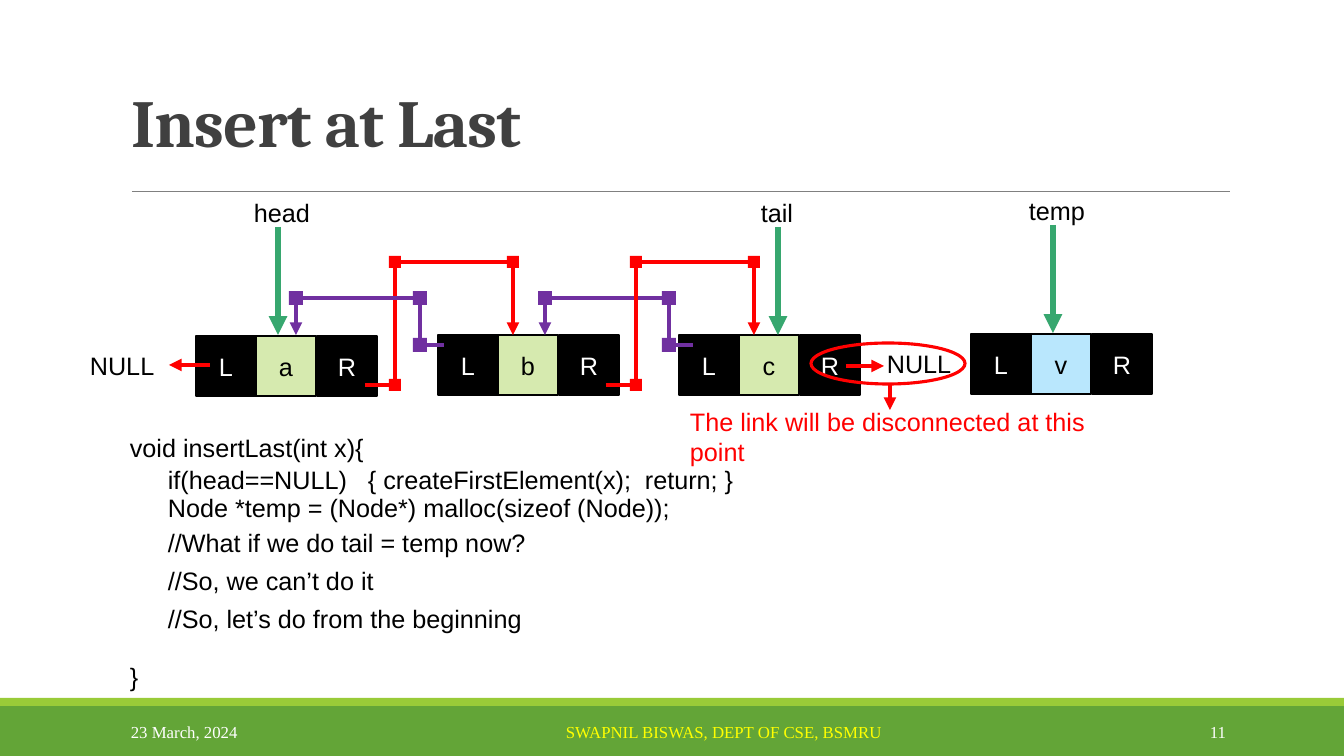
import pptx
import pptx.dml.color
import pptx.enum.shapes
import pptx.enum.text
import pptx.oxml.ns
import pptx.util
import lxml.etree

RGBColor = pptx.dml.color.RGBColor
Shape = pptx.enum.shapes.MSO_SHAPE
Align = pptx.enum.text.PP_ALIGN
Anchor = pptx.enum.text.MSO_ANCHOR

BLACK = RGBColor(0x00, 0x00, 0x00)
WHITE = RGBColor(0xFF, 0xFF, 0xFF)
RED = RGBColor(0xFF, 0x00, 0x00)
PURPLE = RGBColor(0x70, 0x30, 0xA0)
GREEN = RGBColor(0x37, 0xA7, 0x6F)
PALE_GREEN = RGBColor(0xD6, 0xEA, 0xAF)
PALE_BLUE = RGBColor(0xB9, 0xE7, 0xFD)
BAR = RGBColor(0x63, 0xA5, 0x37)
BAR_EDGE = RGBColor(0x99, 0xCB, 0x38)
YELLOW = RGBColor(0xFF, 0xFF, 0x00)
GRAY = RGBColor(0x80, 0x80, 0x80)
DARK = RGBColor(0x40, 0x40, 0x40)


def px(n):
    return pptx.util.Emu(round(n * 914400 / 100.8))


class Builder:
    body_font = "Arial"
    title_font = "Cambria"
    footer_font = "Times New Roman"

    def __init__(self, prs):
        self.slide = prs.slides.add_slide(prs.slide_layouts[5])
        self.shapes = self.slide.shapes

    def style(self, p, size, color, font, align=Align.LEFT):
        p.alignment = align
        p.font.size = pptx.util.Pt(size)
        p.font.name = font
        p.font.color.rgb = color

    def title(self, text, x, y, w, h):
        sp = self.shapes.title
        sp.left, sp.top, sp.width, sp.height = px(x), px(y), px(w), px(h)
        tf = sp.text_frame
        tf.word_wrap = True
        tf.vertical_anchor = Anchor.BOTTOM
        p = tf.paragraphs[0]
        r = p.add_run()
        r.text = text
        r.font._element.set("spc", "-50")
        self.style(p, 48, DARK, self.title_font)
        p.font.bold = True
        p.line_spacing = 0.85

    def text(self, text, x, y, w, color=BLACK, size=18, font=body_font,
             align=Align.LEFT, anchor=Anchor.TOP):
        sp = self.shapes.add_textbox(px(x), px(y), px(w), px(40))
        tf = sp.text_frame
        tf.word_wrap = True
        tf.vertical_anchor = anchor
        p = tf.paragraphs[0]
        p.text = text
        self.style(p, size, color, font, align)

    def footer(self, text, x, w, color=WHITE, align=Align.LEFT):
        self.text(text, x, 712, w, color, 12, self.footer_font, align, Anchor.MIDDLE)

    def shape(self, kind, x, y, w, h, fill=None, line=None, width=1.25):
        sp = self.shapes.add_shape(kind, px(x), px(y), px(w), px(h))
        sp.shadow.inherit = False
        if fill is None:
            sp.fill.background()
        else:
            sp.fill.solid()
            sp.fill.fore_color.rgb = fill
        if line is None:
            sp.line.fill.background()
        else:
            sp.line.color.rgb = line
            sp.line.width = pptx.util.Pt(width)
        return sp

    def line(self, start, end, color, width=3, arrow=False):
        cn = self.shapes.add_connector(
            pptx.enum.shapes.MSO_CONNECTOR.STRAIGHT,
            px(start[0]), px(start[1]), px(end[0]), px(end[1]))
        cn.line.color.rgb = color
        cn.line.width = pptx.util.Pt(width)
        qn = pptx.oxml.ns.qn
        if arrow:
            ln = cn.line._get_or_add_ln()
            lxml.etree.SubElement(ln, qn("a:tailEnd"), type="triangle")
        lxml.etree.SubElement(cn._element.spPr, qn("a:effectLst"))

    def node(self, value, x, y, fill):
        cells = (("L", BLACK, WHITE), (value, fill, BLACK), ("R", BLACK, WHITE))
        for i, (label, back, color) in enumerate(cells):
            sp = self.shape(Shape.RECTANGLE, x + 121 * i // 2, y, 60, 60, back, BLACK)
            tf = sp.text_frame
            tf.vertical_anchor = Anchor.MIDDLE
            p = tf.paragraphs[0]
            p.text = label
            self.style(p, 18, color, self.body_font, Align.CENTER)

    def link(self, points, color, size):
        for i, (start, end) in enumerate(zip(points, points[1:])):
            self.line(start, end, color, arrow=i == len(points) - 2)
        for x, y in points[1:-1]:
            self.shape(Shape.RECTANGLE, x - size // 2, y - size // 2, size, size, color)

    def next_link(self, x):
        self.link([(x, 385), (x + 30, 385), (x + 30, 262), (x + 148, 262),
                   (x + 148, 335)], RED, 12)

    def prev_link(self, x):
        self.link([(x, 345), (x - 24, 345), (x - 24, 298), (x - 148, 298),
                   (x - 148, 335)], PURPLE, 14)

    def pointer(self, name, text_x, x, y):
        self.line((x, y + 35), (x, y + 143), GREEN, 4.5, arrow=True)
        self.text(name, text_x, y, 81)


def main():
    prs = pptx.Presentation()
    prs.slide_width, prs.slide_height = px(1344), px(756)
    s = Builder(prs)

    s.shape(Shape.RECTANGLE, 0, 706, 1344, 50, BAR)
    s.shape(Shape.RECTANGLE, 0, 698, 1344, 8, BAR_EDGE)
    s.line((132, 191), (1230, 191), GRAY, 0.5)
    s.title("Insert at Last", 121, 6, 1109, 160)

    for value, x, y, fill in (("a", 196, 336, PALE_GREEN), ("b", 438, 335, PALE_GREEN),
                              ("c", 679, 335, PALE_GREEN), ("v", 971, 334, PALE_BLUE)):
        s.node(value, x, y, fill)

    for name, text_x, x, y in (("head", 244, 278, 192), ("tail", 751, 778, 192),
                               ("temp", 1019, 1053, 190)):
        s.pointer(name, text_x, x, y)

    s.text("NULL", 80, 345, 95)
    s.line((210, 365), (169, 365), RED, arrow=True)
    s.text("NULL", 877, 343, 95)
    s.line((846, 366), (884, 366), RED, arrow=True)

    s.next_link(365)
    s.prev_link(444)
    s.prev_link(693)
    s.next_link(606)

    s.text("The link will be disconnected at this point", 680, 401, 473, RED)
    s.shape(Shape.OVAL, 811, 343, 154, 41, line=RED, width=2.25)
    s.line((890, 385), (890, 410), RED, arrow=True)

    for text, x, y in (
            ("void insertLast(int x){", 120, 427),
            ("if(head==NULL)   { createFirstElement(x);  return; }", 158, 459),
            ("Node *temp = (Node*) malloc(sizeof (Node));", 158, 487),
            ("//What if we do tail = temp now?", 158, 522),
            ("//So, we can’t do it", 158, 560),
            ("//So, let’s do from the beginning", 158, 598),
            ("}", 120, 656)):
        s.text(text, x, y, 596)

    s.footer("23 March, 2024", 121, 272)
    s.footer("SWAPNIL BISWAS, DEPT OF CSE, BSMRU", 556, 345, YELLOW)
    s.footer("11", 1092, 144, align=Align.RIGHT)
    prs.save("out.pptx")


if __name__ == "__main__":
    main()
